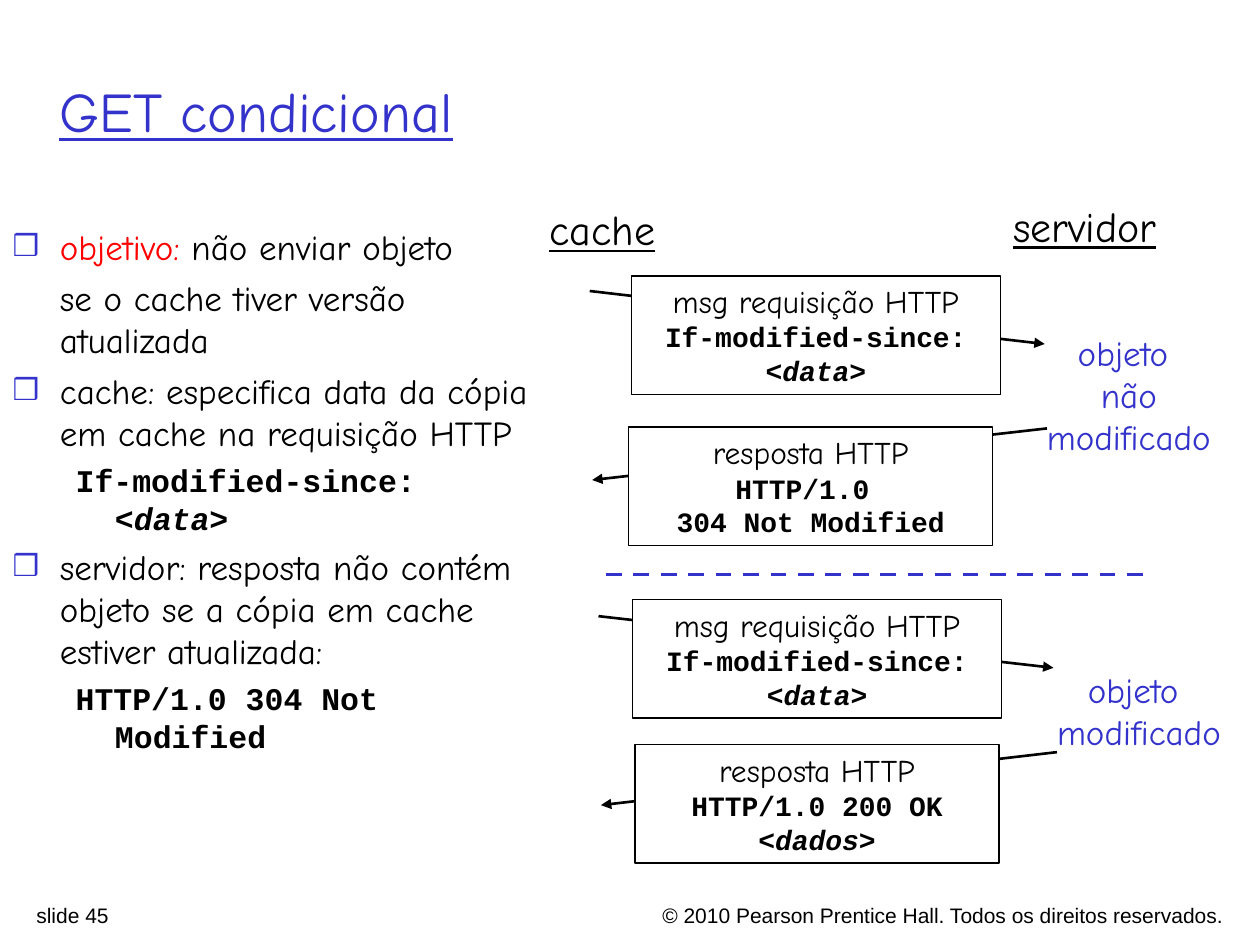
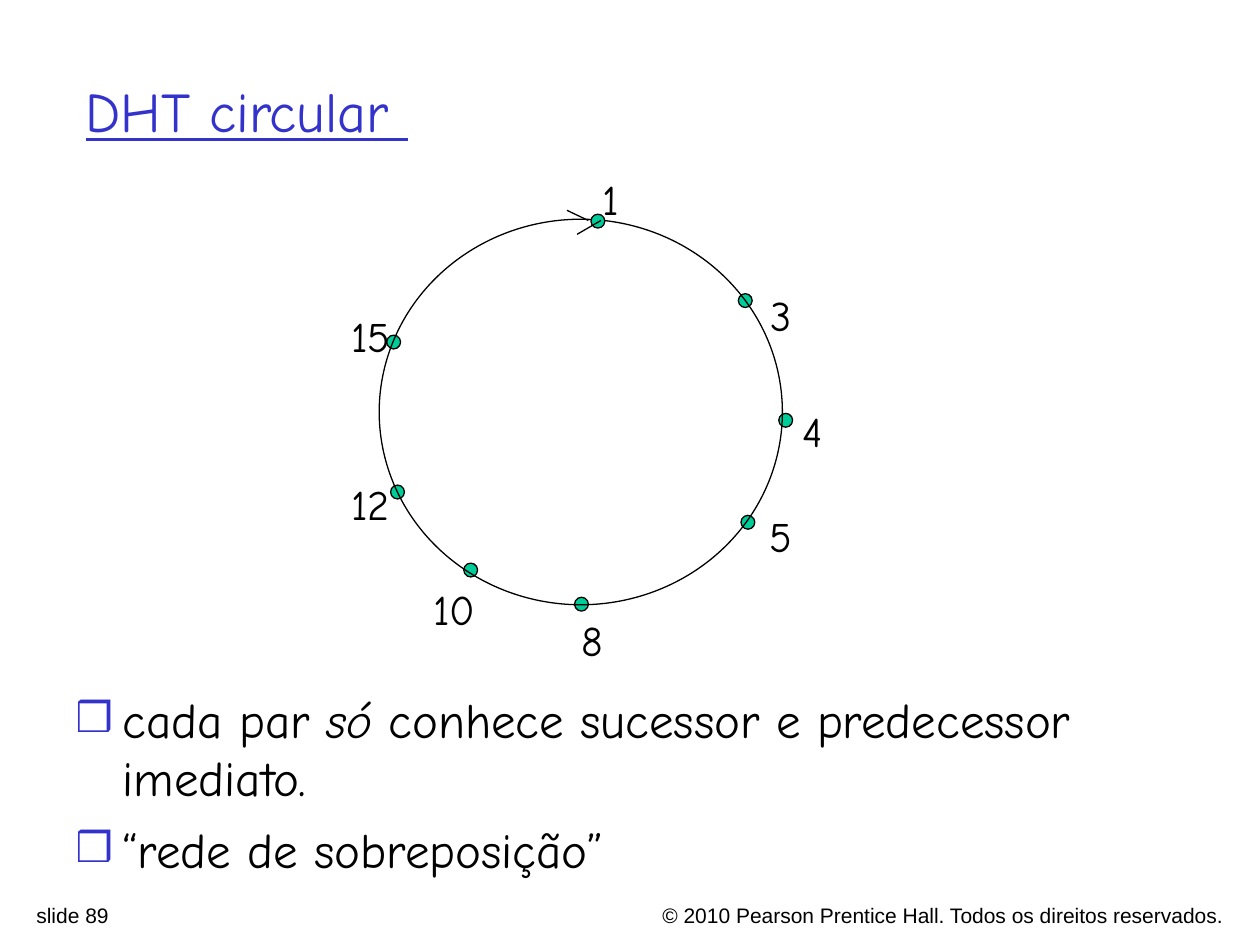
from lxml import etree
from pptx import Presentation
from pptx.dml.color import RGBColor
from pptx.enum import dml, shapes, text
from pptx.oxml import ns
from pptx.util import Pt

BLUE = RGBColor(0x33, 0x33, 0xCC)
RED = RGBColor(0xFF, 0x00, 0x00)
GREEN = RGBColor(0x00, 0xCC, 0x99)
BLACK = RGBColor(0x00, 0x00, 0x00)
WHITE = RGBColor(0xFF, 0xFF, 0xFF)

HAND, CODE = "Comic Neue", "Courier New"
COPYRIGHT = "© 2010 Pearson Prentice Hall. Todos os direitos reservados."
LEFT, CENTER, RIGHT = text.PP_ALIGN.LEFT, text.PP_ALIGN.CENTER, text.PP_ALIGN.RIGHT


def write(text_frame, lines, align=LEFT, color=BLACK):
    """Fill a frame with (font, size, words[, kind]) lines; |bars| enclose italics.

    Kind is "bullet", "plain" (same margin, no bullet) or "code" (second level).
    """
    text_frame.auto_size = text.MSO_AUTO_SIZE.NONE
    for index, (font, size, words, *kind) in enumerate(lines):
        paragraph = text_frame.paragraphs[0] if index == 0 else text_frame.add_paragraph()
        paragraph.alignment = align
        paragraph.space_before = Pt(size / 4 if kind and index else 0)
        if kind:
            properties = paragraph._p.get_or_add_pPr()
            paragraph.level = 1 if kind[0] == "code" else 0
            margin, indent = {"bullet": (27, -27), "plain": (27, 0), "code": (58.5, -22.5)}[kind[0]]
            properties.set("marL", str(Pt(margin)))
            properties.set("indent", str(Pt(indent)))
            if kind[0] == "bullet":
                bullet_color = etree.SubElement(properties, ns.qn("a:buClr"))
                etree.SubElement(bullet_color, ns.qn("a:srgbClr"), val=str(BLUE))
                etree.SubElement(properties, ns.qn("a:buSzPct"), val="85000")
                etree.SubElement(properties, ns.qn("a:buChar"), char="❒")
            else:
                etree.SubElement(properties, ns.qn("a:buNone"))
        for part, piece in enumerate(words.split("|")):
            if piece:
                run = paragraph.add_run()
                run.text = piece
                run.font.name, run.font.size = font, Pt(size)
                run.font.bold, run.font.italic = font == CODE, part % 2 == 1
                run.font.color.rgb = color


def add_line(slide, start, end, width, color=BLACK, arrow=False):
    line = slide.shapes.add_connector(
        shapes.MSO_CONNECTOR.STRAIGHT, *(Pt(value) for value in start + end))
    line.line.color.rgb, line.line.width = color, Pt(width)
    if arrow:
        etree.SubElement(line.line._get_or_add_ln(), ns.qn("a:tailEnd"), type="triangle")
    etree.SubElement(line._element.spPr, ns.qn("a:effectLst"))
    return line


presentation = Presentation()
presentation.slide_width, presentation.slide_height = Pt(720), Pt(540)

# Title, body and footer of each slide
pages = [
    (45, "GET condicional", (26.6, 18, 627, 90), (0, 125.3, 318.2, 339), [
        (HAND, 20, "objetivo:|| não enviar objeto", "bullet"),
        (HAND, 20, "se o cache tiver versão atualizada", "plain"),
        (HAND, 20, "cache: especifica data da cópia em cache na requisição HTTP", "bullet"),
        (CODE, 18, "If-modified-since: <|data|>", "code"),
        (HAND, 20, "servidor: resposta não contém objeto se a cópia em cache "
                   "estiver atualizada:", "bullet"),
        (CODE, 18, "HTTP/1.0 304 Not Modified", "code"),
    ]),
    (89, "DHT circular ", (41.8, 18, 612, 90), (36, 390.2, 648, 120), [
        (HAND, 28, "cada par |só| conhece sucessor e predecessor imediato.", "bullet"),
        (HAND, 28, "“rede de sobreposição”", "bullet"),
    ]),
]
for number, heading, title_area, body_area, items in pages:
    slide = presentation.slides.add_slide(presentation.slide_layouts[1])
    title, body = slide.placeholders
    for shape, area in ((title, title_area), (body, body_area)):
        shape.left, shape.top, shape.width, shape.height = (Pt(value) for value in area)
    write(title.text_frame, [(HAND, 32, heading)], color=BLUE)
    title.text_frame.paragraphs[0].runs[0].font.underline = True
    write(body.text_frame, items)
    for left, width, words, align in ((338.4, 368, COPYRIGHT, RIGHT),
                                      (13.7, 253.4, f"slide {number}", LEFT)):
        footer = slide.shapes.add_textbox(Pt(left), Pt(512), Pt(width), Pt(17))
        footer.text_frame.word_wrap = True
        write(footer.text_frame, [("Arial", 12, words)], align)

conditional_get, circular_dht = presentation.slides

# Conditional GET: messages between cache and server
goal = conditional_get.placeholders[1].text_frame.paragraphs[0]
goal.runs[0].font.color.rgb = RED

request = [(HAND, 18, "msg requisição HTTP"), (CODE, 16, "If-modified-since: <|data|>")]
not_modified = [(HAND, 18, "resposta HTTP"), (CODE, 16, "HTTP/1.0 "),
                (CODE, 16, "304 Not Modified")]
modified = [(HAND, 18, "resposta HTTP"), (CODE, 16, "HTTP/1.0 200 OK"),
            (CODE, 16, "<|dados|>")]
messages = [
    ((337, 166.3), (597, 196.6), (360.7, 157.7, 211), request),
    ((598.3, 244.8), (338.4, 274.3), (359.3, 244.1, 208), not_modified),
    ((342, 352.1), (602, 381.6), (361.4, 342.7, 211), request),
    ((604, 429.8), (343.4, 460.1), (362.9, 425.5, 208), modified),
]
for start, end, (left, top, width), lines in messages:
    add_line(conditional_get, start, end, 1.5, arrow=True)
    message = conditional_get.shapes.add_shape(
        shapes.MSO_SHAPE.RECTANGLE, Pt(left), Pt(top), Pt(width), Pt(67.7))
    message.shadow.inherit = False
    message.fill.solid()
    message.fill.fore_color.rgb = WHITE
    message.line.color.rgb, message.line.width = BLACK, Pt(0.75)
    message.text_frame.vertical_anchor = text.MSO_ANCHOR.TOP
    write(message.text_frame, lines, CENTER)

divider = add_line(conditional_get, (346.3, 328.3), (653.8, 328.3), 2.25, BLUE)
divider.line.dash_style = dml.MSO_LINE.DASH

labels = [
    (306.7, 113, 75, 36, 24, BLACK, ["cache"]),
    (571.7, 110.9, 96.5, 36, 24, BLACK, ["servidor"]),
    (591.1, 185.8, 108, 79.2, 20, BLUE, ["objeto ", "não", "modificado"]),
    (596.9, 378.7, 108, 55.4, 20, BLUE, ["objeto ", "modificado"]),
]
for left, top, width, height, size, color, lines in labels:
    label = conditional_get.shapes.add_textbox(Pt(left), Pt(top), Pt(width), Pt(height))
    label.text_frame.word_wrap = False
    write(label.text_frame, [(HAND, size, line) for line in lines], CENTER, color)
    if color == BLACK:
        label.text_frame.paragraphs[0].runs[0].font.underline = True

# Circular DHT: peers on a ring, the first one in front of it
peers = [
    ("8", (328.3, 341.3), (325.4, 347.8)),
    ("15", (221, 191.5), (193.7, 174.2)),
    ("12", (223.2, 277.2), (193.7, 270)),
    ("3", (421.9, 167.8), (433.4, 162)),
    ("4", (445, 236.2), (451.4, 228.2)),
    ("5", (423.4, 294.5), (432.7, 288)),
    ("10", (265, 321.8), (240.5, 329.8)),
    ("1", (337.7, 122.4), (337, 95.8)),
]
for peer, (dot_left, dot_top), (left, top) in peers:
    if peer == "1":
        ring = circular_dht.shapes.add_shape(
            shapes.MSO_SHAPE.OVAL, Pt(216.7), Pt(125.3), Pt(230.4), Pt(220.3))
        ring.shadow.inherit = False
        ring.fill.background()
        ring.line.color.rgb, ring.line.width = BLACK, Pt(0.75)
    dot = circular_dht.shapes.add_shape(
        shapes.MSO_SHAPE.OVAL, Pt(dot_left), Pt(dot_top), Pt(7.9), Pt(7.9))
    dot.shadow.inherit = False
    dot.fill.solid()
    dot.fill.fore_color.rgb = GREEN
    dot.line.color.rgb, dot.line.width = BLACK, Pt(0.75)
    label = circular_dht.shapes.add_textbox(
        Pt(left), Pt(top), Pt(28 if len(peer) == 1 else 44), Pt(36))
    label.text_frame.word_wrap = True
    write(label.text_frame, [(HAND, 24, peer)])

add_line(circular_dht, (324, 120.2), (336.2, 126), 0.75)
add_line(circular_dht, (343.4, 126), (329.8, 133.9), 0.75)

presentation.save("out.pptx")
